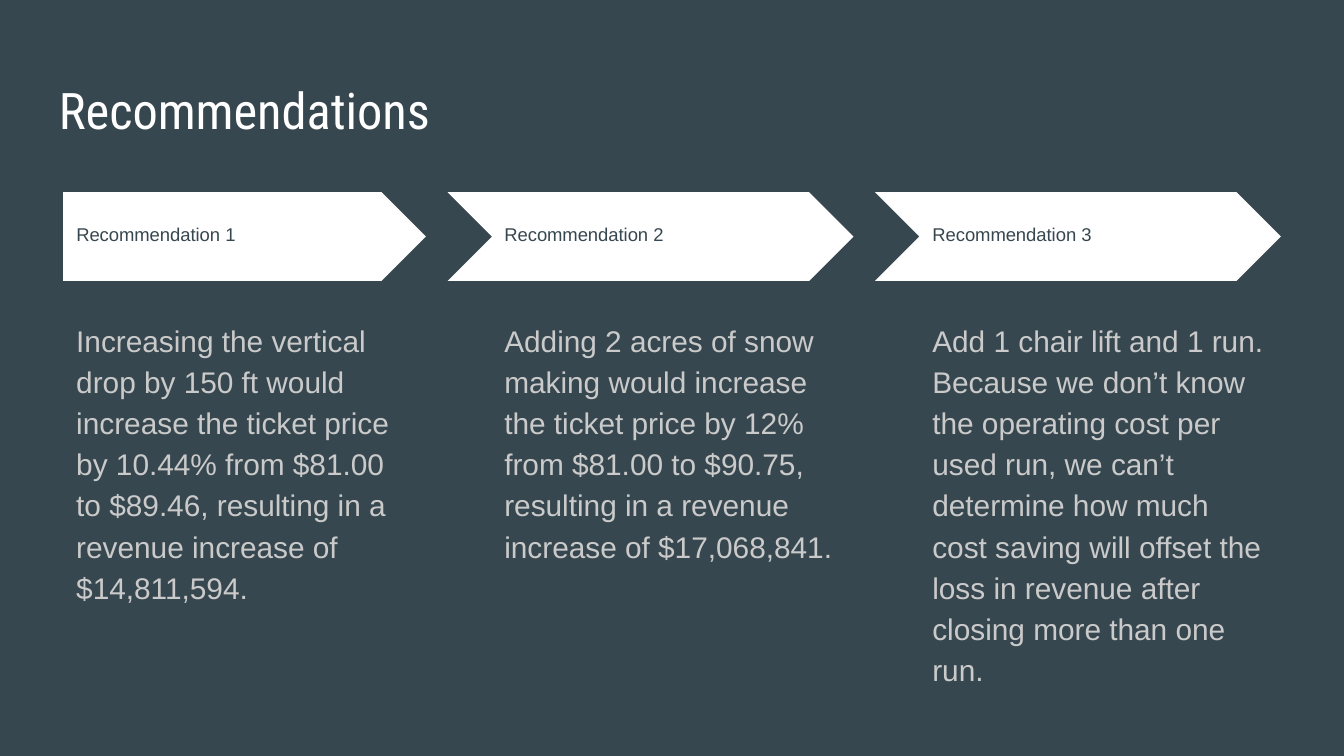
"""Build the Recommendations slide with three arrow-headed columns."""
import dataclasses

import pptx
import pptx.dml.color
import pptx.enum.shapes
import pptx.enum.text
import pptx.util

Pt = pptx.util.Pt
SHAPE = pptx.enum.shapes.MSO_SHAPE
ANCHOR = pptx.enum.text.MSO_ANCHOR


@dataclasses.dataclass(frozen=True)
class Theme:
    """Colours, fonts and type sizes of the slide."""
    background: str = "37474F"
    arrow: str = "FFFFFF"
    title: str = "FFFFFF"
    label: str = "37474F"
    body: str = "CACACA"
    title_font: str = "Roboto Condensed"
    text_font: str = "Arial"
    title_size: float = 27
    label_size: float = 9.9
    body_size: float = 16


THEME = Theme()
COLUMN_LEFT, COLUMN_STEP, COLUMN_WIDTH = 33.8, 229.3, 194.4
ARROW_RIGHT, ARROW_STEP = 228.2, 229
ARROW_TOP, ARROW_HEIGHT, CHEVRON_WIDTH = 103, 47.5, 217.4

RECOMMENDATIONS = [
    ("Increasing the vertical drop by 150 ft would increase the ticket price "
     "by 10.44% from $81.00 to $89.46, resulting in a revenue increase of "
     "$14,811,594.", 0, 0),
    ("Adding 2 acres of snow making would increase the ticket price by 12% "
     "from $81.00 to $90.75, resulting in a revenue increase of "
     "$17,068,841.", 11, 7),
    ("Add 1 chair lift and 1 run. Because we don’t know the operating cost "
     "per used run, we can’t determine how much cost saving will offset the "
     "loss in revenue after closing more than one run.", 0, 8),
]


def rgb(value):
    """Return the colour for a hex string."""
    return pptx.dml.color.RGBColor.from_string(value)


def add_text(s, text, left, top, width, height, *, size, color,
             font=THEME.text_font, anchor=ANCHOR.TOP, spacing=1.0,
             before=0, after=0):
    """Add a wrapped text box holding one formatted paragraph."""
    sp = s.shapes.add_textbox(Pt(left), Pt(top), Pt(width), Pt(height))
    tf = sp.text_frame
    tf.word_wrap = True
    tf.vertical_anchor = anchor
    tf.margin_left = tf.margin_right = Pt(7.2)
    tf.margin_top = tf.margin_bottom = Pt(7.2)
    p = tf.paragraphs[0]
    p.line_spacing = spacing
    p.space_before, p.space_after = Pt(before), Pt(after)
    r = p.add_run()
    r.text = text
    r.font.name, r.font.size = font, Pt(size)
    r.font.color.rgb = rgb(color)


def add_arrow(s, kind, left, width):
    """Add one plain arrow of the header row."""
    sp = s.shapes.add_shape(kind, Pt(left), Pt(ARROW_TOP),
                            Pt(width), Pt(ARROW_HEIGHT))
    sp.adjustments[0] = 0.5
    sp.shadow.inherit = False
    sp.fill.solid()
    sp.fill.fore_color.rgb = rgb(THEME.arrow)
    sp.line.fill.background()


def add_recommendation(s, index, text, before, after):
    """Add the arrow, label and body text of one column."""
    kind, width = ((SHAPE.CHEVRON, CHEVRON_WIDTH) if index
                   else (SHAPE.PENTAGON, COLUMN_WIDTH))
    add_arrow(s, kind, ARROW_RIGHT + index * ARROW_STEP - width, width)
    left = COLUMN_LEFT + index * COLUMN_STEP
    add_text(s, f"Recommendation {index + 1}", left, 114.5, 178, 24.5,
             size=THEME.label_size, color=THEME.label,
             anchor=ANCHOR.MIDDLE, spacing=0.8)
    add_text(s, text, left, 162.7, COLUMN_WIDTH, 208.8,
             size=THEME.body_size, color=THEME.body, spacing=1.15,
             before=before, after=after)


def main():
    """Build and save the slide."""
    prs = pptx.Presentation()
    prs.slide_width, prs.slide_height = Pt(720), Pt(405)
    s = prs.slides.add_slide(prs.slide_layouts[6])
    s.background.fill.solid()
    s.background.fill.fore_color.rgb = rgb(THEME.background)
    add_text(s, "Recommendations", 24.5, 35.3, 671, 45.4,
             size=THEME.title_size, color=THEME.title, font=THEME.title_font)
    for index, (text, before, after) in enumerate(RECOMMENDATIONS):
        add_recommendation(s, index, text, before, after)
    prs.save("out.pptx")


if __name__ == "__main__":
    main()
